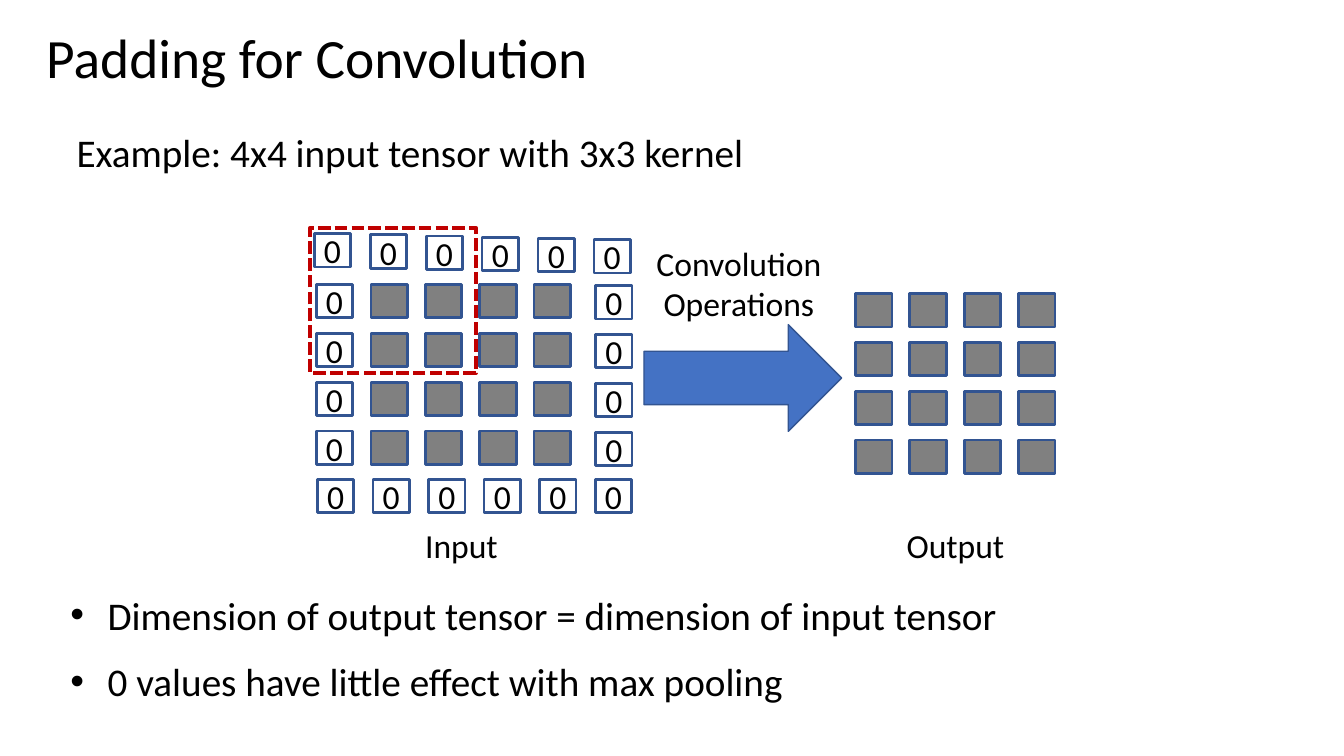
import pptx
import pptx.util
import pptx.dml.color
import pptx.enum.dml
import pptx.enum.shapes
import pptx.enum.text

Cm, Pt = pptx.util.Cm, pptx.util.Pt
Shape = pptx.enum.shapes.MSO_SHAPE
Align = pptx.enum.text.PP_ALIGN
Anchor = pptx.enum.text.MSO_ANCHOR

CELL = (0.92, 0.84)
STEP_X, STEP_Y = 1.37, 1.23


def color(code):
    return pptx.dml.color.RGBColor.from_string(code)


class Board:
    font = "Calibri"
    ink = "000000"
    edge = "325491"
    gray = "808080"

    def __init__(self, slide):
        self.slide = slide

    def letter(self, item, text, size, align=Align.LEFT, anchor=Anchor.TOP):
        """Fill an item with styled text and return its frame."""
        frame = item.text_frame
        frame.text = text
        frame.word_wrap = True
        frame.auto_size = pptx.enum.text.MSO_AUTO_SIZE.NONE
        frame.vertical_anchor = anchor
        for para in frame.paragraphs:
            para.alignment = align
            for run in para.runs:
                run.font.name = self.font
                run.font.size = Pt(size)
                run.font.color.rgb = color(self.ink)
        return frame

    def holder(self, item, box, text, size, anchor=Anchor.TOP):
        """Move a placeholder to its box and fill it."""
        item.left, item.top, item.width, item.height = map(Cm, box)
        return self.letter(item, text, size, anchor=anchor)

    def title(self, box, text):
        frame = self.holder(self.slide.shapes.title, box, text, 39.6, Anchor.MIDDLE)
        frame.paragraphs[0].line_spacing = 0.9

    def bullets(self, box, lines):
        body = self.slide.placeholders[1]
        frame = self.holder(body, box, "\n".join(lines), 28)
        for para in frame.paragraphs:
            para.space_before = Pt(14)
            props = para._p.get_or_add_pPr()
            props.set("marL", str(Cm(0.94)))
            props.set("indent", str(-Cm(0.94)))

    def label(self, box, text, size=24, align=Align.CENTER):
        item = self.slide.shapes.add_textbox(*map(Cm, box))
        return self.letter(item, text, size, align)

    def shape(self, kind, box, fill=None, line=edge, width=2):
        item = self.slide.shapes.add_shape(kind, *map(Cm, box))
        item.shadow.inherit = False
        if fill:
            item.fill.solid()
            item.fill.fore_color.rgb = color(fill)
        else:
            item.fill.background()
        item.line.color.rgb = color(line)
        item.line.width = Pt(width)
        return item

    def grid(self, left, top):
        """Draw a 4x4 tensor of gray cells."""
        for row in range(4):
            for col in range(4):
                spot = (left + col * STEP_X, top + row * STEP_Y)
                self.shape(Shape.RECTANGLE, spot + CELL, self.gray)

    def zero(self, left, top, fill=None):
        item = self.shape(Shape.RECTANGLE, (left, top) + CELL, fill)
        frame = self.letter(item, "0", 24, Align.CENTER, Anchor.MIDDLE)
        frame.margin_left = frame.margin_right = 0

    def padding(self):
        """Ring the input tensor with zero cells."""
        for row in range(4):
            top = 7.17 + row * STEP_Y
            self.zero(7.97, top, "FFFFFF")
            self.zero(15.01, top + 0.03)
        for col in range(6):
            fill = None if col else "FFFFFF"
            self.zero(7.92 + col * 1.41, 5.89 + col * 0.03, fill)
            self.zero(8 + col * 1.4, 12.08, fill)


def main():
    deck = pptx.Presentation()
    deck.slide_width, deck.slide_height = Cm(33.87), Cm(19.05)
    board = Board(deck.slides.add_slide(deck.slide_layouts[1]))

    board.title((0.91, 0.58, 32.36, 1.88), "Padding for Convolution")
    board.label((1.68, 3.12, 32, 1.88), "Example: 4x4 input tensor with 3x3 kernel",
                28, Align.LEFT)

    kernel = board.shape(Shape.RECTANGLE, (7.82, 5.74, 4.17, 3.66),
                         line="C00000", width=3)
    kernel.line.dash_style = pptx.enum.dml.MSO_LINE.SQUARE_DOT
    board.grid(9.35, 7.17)
    board.padding()
    board.grid(21.56, 7.4)
    board.shape(Shape.RIGHT_ARROW, (16.23, 8.18, 4.98, 2.69), "4472C4", width=1)

    board.label((8.71, 13.11, 5.84, 1.27), "Input")
    board.label((21.16, 13.11, 5.84, 1.27), "Output")
    board.label((15.7, 5.99, 5.84, 2.31), "Convolution\nOperations")
    board.bullets((1.52, 14.76, 32, 3.71), [
        "Dimension of output tensor = dimension of input tensor",
        "0 values have little effect with max pooling",
    ])
    deck.save("out.pptx")


if __name__ == "__main__":
    main()
